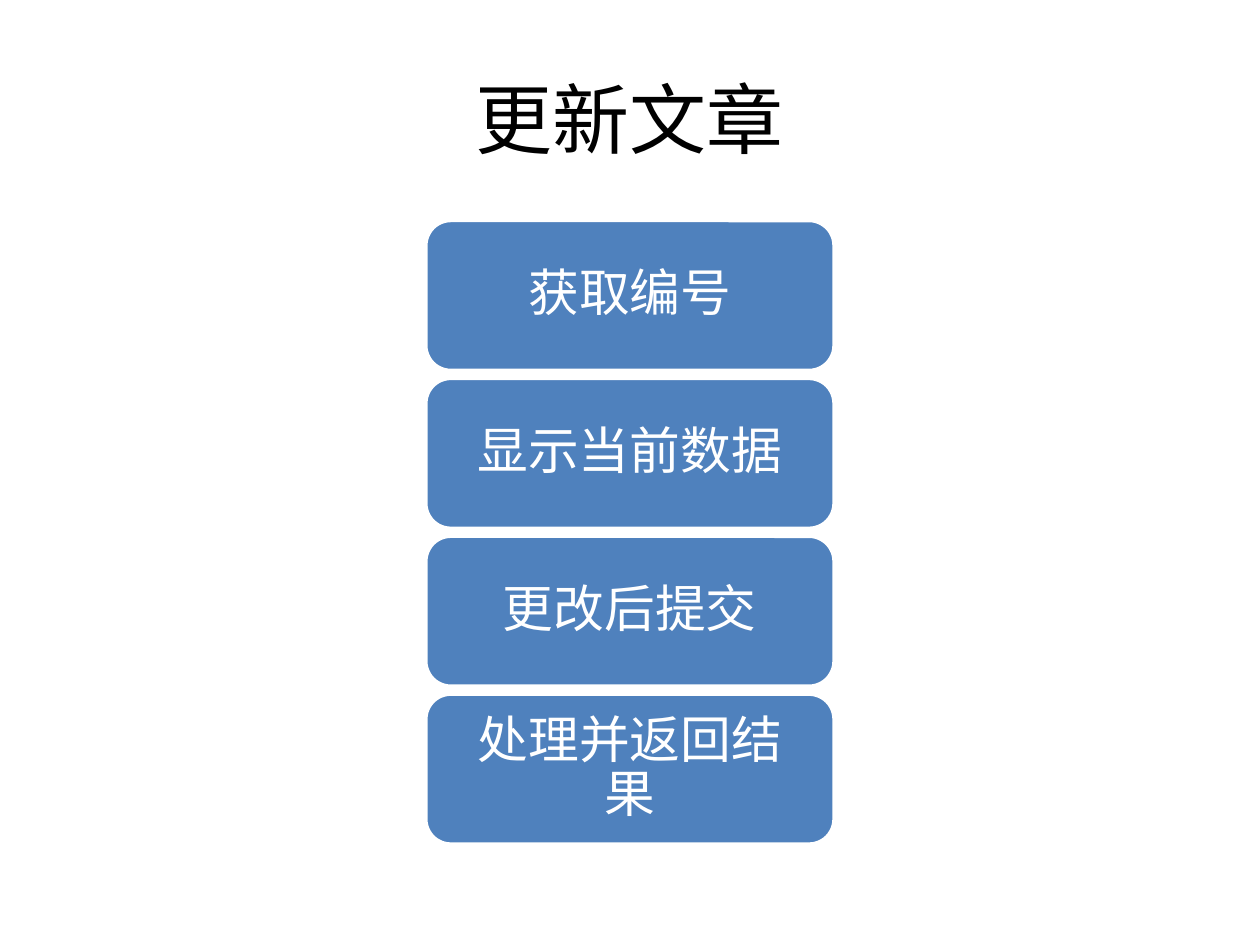
from dataclasses import dataclass

from pptx import Presentation
from pptx.dml.color import RGBColor
from pptx.enum.shapes import MSO_SHAPE
from pptx.enum.text import MSO_ANCHOR, PP_ALIGN
from pptx.util import Inches, Pt

# Content
TITLE = "更新文章"
STEPS = ["获取编号", "显示当前数据", "更改后提交", "处理并返回结果"]


@dataclass(frozen=True)
class Theme:
    font: str = "Calibri"
    ink: RGBColor = RGBColor(0x00, 0x00, 0x00)
    paper: RGBColor = RGBColor(0xFF, 0xFF, 0xFF)
    accent: RGBColor = RGBColor(0x4F, 0x81, 0xBD)
    title_size: int = 44
    step_size: int = 29
    outline: int = 2


THEME = Theme()

# Layout in inches
SLIDE_W, SLIDE_H = 10, 7.5
TITLE_BOX = (0.5, 0.52, 9, 1.25)
STEP_W, STEP_H = 3.24, 1.19
STEPS_TOP, STEP_PITCH = 1.75, 1.253
INSET_X, INSET_Y = 0.18, 0.12


def write(frame, text, *, size, color, anchor, line_spacing=1.0, after=0):
    frame.word_wrap = True
    frame.vertical_anchor = anchor
    paragraph = frame.paragraphs[0]
    paragraph.alignment = PP_ALIGN.CENTER
    paragraph.line_spacing = line_spacing
    paragraph.space_after = Pt(after)
    run = paragraph.add_run()
    run.text = text
    run.font.name = THEME.font
    run.font.size = Pt(size)
    run.font.color.rgb = color


def add_step(slide, row, text):
    step = slide.shapes.add_shape(
        MSO_SHAPE.ROUNDED_RECTANGLE,
        Inches((SLIDE_W - STEP_W) / 2), Inches(STEPS_TOP + row * STEP_PITCH),
        Inches(STEP_W), Inches(STEP_H))
    step.shadow.inherit = False
    step.fill.solid()
    step.fill.fore_color.rgb = THEME.accent
    step.line.color.rgb = THEME.paper
    step.line.width = Pt(THEME.outline)
    frame = step.text_frame
    frame.margin_left = frame.margin_right = Inches(INSET_X)
    frame.margin_top = frame.margin_bottom = Inches(INSET_Y)
    write(frame, text, size=THEME.step_size, color=THEME.paper,
          anchor=MSO_ANCHOR.MIDDLE, line_spacing=0.9,
          after=round(0.35 * THEME.step_size))


def main():
    deck = Presentation()
    deck.slide_width, deck.slide_height = Inches(SLIDE_W), Inches(SLIDE_H)
    slide = deck.slides.add_slide(deck.slide_layouts[5])

    # Title
    title = slide.shapes.title
    title.left, title.top, title.width, title.height = map(Inches, TITLE_BOX)
    write(title.text_frame, TITLE, size=THEME.title_size, color=THEME.ink,
          anchor=MSO_ANCHOR.TOP)

    # Steps, stacked from top to bottom
    for row, text in enumerate(STEPS):
        add_step(slide, row, text)

    deck.save("out.pptx")


if __name__ == "__main__":
    main()
